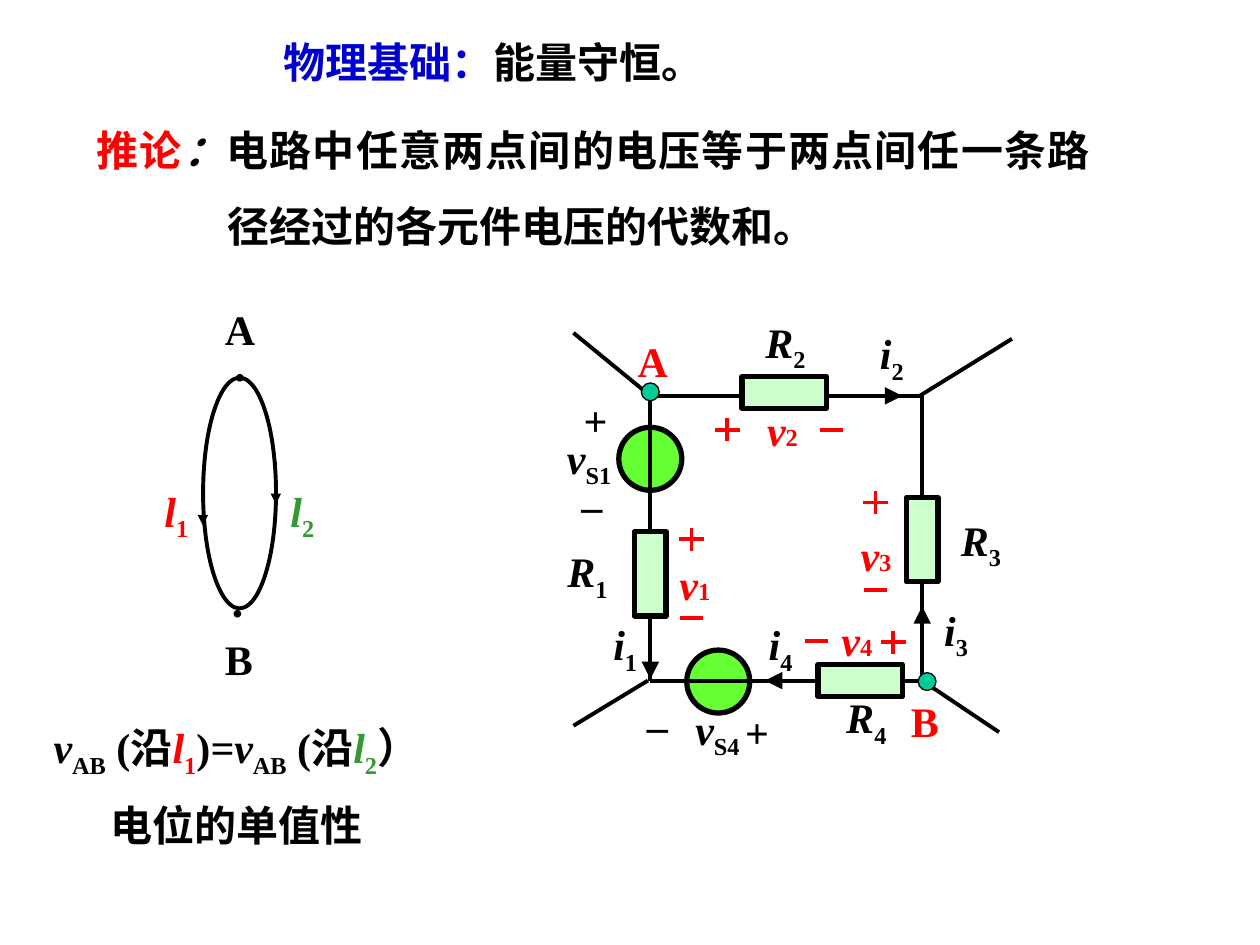
import pptx
import pptx.dml.color
import pptx.enum.shapes
import pptx.enum.text
import pptx.oxml.ns
import pptx.util
from lxml import etree

Cm, Pt = pptx.util.Cm, pptx.util.Pt
Shape = pptx.enum.shapes.MSO_SHAPE
Align = pptx.enum.text.PP_ALIGN
Middle = pptx.enum.text.MSO_ANCHOR.MIDDLE
qn = pptx.oxml.ns.qn
RGB = pptx.dml.color.RGBColor.from_string


class Theme:
    font = "Times New Roman"
    size, small, dot = 24, 14, 16
    black, white, red = "000000", "FFFFFF", "FF0000"
    blue, green = "0000D0", "339933"
    source, load, node = "66FF33", "CCFFCC", "00CC99"
    thin, wire, bold = 1, 2.25, 3


def write(par, runs, color=Theme.black):
    """Each run is (text, marks, color): i italic, s subscript, n small, d dot."""
    for text, marks, *own in runs:
        run = par.add_run()
        run.text = text
        font = run.font
        font.name, font.bold, font.italic = Theme.font, True, "i" in marks
        font.size = Pt(Theme.small if "n" in marks else Theme.dot if "d" in marks else Theme.size)
        font.color.rgb = RGB(own[0] if own else color)
        if "s" in marks:
            run._r.get_or_add_rPr().set("baseline", "-25000")


def draw(x1, y1, x2, y2, color=Theme.black, width=Theme.wire, head=None):
    kind = pptx.enum.shapes.MSO_CONNECTOR.STRAIGHT
    line = slide.shapes.add_connector(kind, Cm(x1), Cm(y1), Cm(x2), Cm(y2))
    line.line.color.rgb = RGB(color)
    line.line.width = Pt(width)
    if head:
        ln = line.line._get_or_add_ln()
        etree.SubElement(ln, qn("a:tailEnd"), type="triangle", w=head, len=head)
    etree.SubElement(line._element.spPr, qn("a:effectLst"))
    return line


deck = pptx.Presentation()
deck.slide_width, deck.slide_height = Cm(25.4), Cm(19.05)
slide = deck.slides.add_slide(deck.slide_layouts[5])

# Title
title = slide.shapes.title
title.left, title.top, title.width, title.height = Cm(1.88), Cm(0.61), Cm(16.13), Cm(1.27)
title.text_frame.auto_size = pptx.enum.text.MSO_AUTO_SIZE.NONE
title.text_frame.vertical_anchor = Middle
par = title.text_frame.paragraphs[0]
par.alignment = Align.CENTER
write(par, [("物理基础：", "", Theme.blue), ("能量守恒。", "")])

# Corollary, with hanging indent
box = slide.shapes.add_textbox(Cm(1.7), Cm(1.88), Cm(20.52), Cm(3.3)).text_frame
box.word_wrap, box.vertical_anchor = True, Middle
par = box.paragraphs[0]
par.alignment, par.line_spacing = Align.JUSTIFY, 1.5
props = par._p.get_or_add_pPr()
props.set("marL", str(Cm(2.64)))
props.set("indent", str(Cm(-2.64)))
write(par, [("推论", "", Theme.red), ("：", "i"),
            ("电路中任意两点间的电压等于两点间任一条路径经过的各元件电压的代数和。", "")])

# Path formula
box = slide.shapes.add_textbox(Cm(0), Cm(14.45), Cm(9.53), Cm(2.79)).text_frame
box.word_wrap, box.vertical_anchor = True, Middle
par = box.paragraphs[0]
write(par, [("v", "i"), ("AB", "s"), (" (沿", ""), ("l", "i", Theme.red), ("1", "s", Theme.red),
            (")", ""), ("=v", "i"), ("AB", "s"), (" (沿", ""), ("l", "i", Theme.green),
            ("2", "s", Theme.green), ("）", "")])
last = box.add_paragraph()
last.space_before = Pt(12)
write(last, [("电位的单值性", "")])
par.alignment = last.alignment = Align.CENTER

# Circuit frame
left, right, top, base = 13.11, 18.59, 7.98, 13.72
long, short, ring, knot = 1.7, 0.64, 1.27, 0.36

# Outlines by layer: kind, centre, width, height, fill, line width
back = [
    (Shape.OVAL, 4.83, 9.94, 1.47, 4.65, Theme.white, Theme.wire),
    (Shape.OVAL, 14.48, 13.74, ring, ring, Theme.source, Theme.bold),
    (Shape.OVAL, left, 9.25, ring, ring, Theme.source, Theme.bold),
]
loads = [
    (Shape.RECTANGLE, left, 11.57, short, long, Theme.load, Theme.bold),
    (Shape.RECTANGLE, 15.81, 7.91, long, short, Theme.load, Theme.bold),
    (Shape.RECTANGLE, right, 10.88, short, long, Theme.load, Theme.bold),
    (Shape.RECTANGLE, 17.34, base, long, short, Theme.load, Theme.bold),
]
nodes = [
    (Shape.OVAL, 18.69, 13.74, knot, knot, Theme.node, 0.75),
    (Shape.OVAL, left, 7.9, knot, knot, Theme.node, 0.75),
]
parts = []
for layer in (back, loads, nodes):
    # Wires run over the sources and under the resistors
    if layer is loads:
        for ends in [(left, top, right, top), (left, top, left, base),
                     (left, base, right, base), (right, top, right, base),
                     (right, base, 20.14, 14.76), (18.54, top, 20.4, 6.83),
                     (13.06, base, 11.56, 14.63), (11.56, 6.71, left, top)]:
            draw(*ends)
    for kind, x, y, w, h, fill, width in layer:
        part = slide.shapes.add_shape(kind, Cm(x - w / 2), Cm(y - h / 2), Cm(w), Cm(h))
        part.shadow.inherit = False
        part.fill.solid()
        part.fill.fore_color.rgb = RGB(fill)
        part.line.color.rgb = RGB(Theme.black)
        part.line.width = Pt(width)
        parts.append(part)

# Current arrows; i1 and i4 start at a resistor
first, fourth = parts[3], parts[6]
for ends, load, site in [((left, 12.42, left, 13.69), first, 2),
                         ((16.49, base, 15.42, base), fourth, 1),
                         ((17.32, top, 18.19, top), None, 0),
                         ((right, 13.41, right, 12.22), None, 0)]:
    arrow = draw(*ends, width=Theme.thin, head="lg")
    if load:
        arrow.begin_connect(load, site)

# Direction arrows on the loop
draw(4.09, 10.16, 4.09, 10.59, width=Theme.thin, head="med")
draw(5.56, 9.32, 5.56, 10.16, width=Theme.thin, head="med")

# Polarity signs of the resistor voltages
for x, y in [(14.66, 8.66), (13.94, 10.87), (18.01, 12.95), (17.65, 10.13)]:
    draw(x - 0.25, y, x + 0.25, y, Theme.red)
    draw(x, y - 0.23, x, y + 0.23, Theme.red)
for x, y in [(16.76, 8.66), (17.65, 11.89), (13.94, 12.45), (16.46, 12.93)]:
    draw(x - 0.23, y, x + 0.23, y, Theme.red)

# Labels: left, top, width, letter, its marks, index, index marks, color
labels = [
    (4.52, 5.99, 0.64, "A", "", "", "", Theme.black),
    (4.47, 12.65, 0.69, "B", "", "", "", Theme.black),
    (4.52, 6.95, 0.64, "•", "d", "", "", Theme.black),
    (4.47, 11.7, 0.64, "•", "d", "", "", Theme.black),
    (3.02, 9.73, 1.07, "l", "i", "1", "s", Theme.red),
    (5.36, 9.73, 1.47, "l", "i", "2", "s", Theme.green),
    (11.79, 12.42, 1.63, "i", "i", "1", "s", Theme.black),
    (17.32, 6.55, 1.32, "i", "i", "2", "s", Theme.black),
    (18.49, 12.12, 1.57, "i", "i", "3", "s", Theme.black),
    (14.78, 12.42, 1.91, "i", "i", "4", "s", Theme.black),
    (10.97, 10.95, 1.75, "R", "i", "1", "s", Theme.black),
    (14.96, 6.32, 1.75, "R", "i", "2", "s", Theme.black),
    (18.82, 10.31, 1.91, "R", "i", "3", "s", Theme.black),
    (16.64, 13.89, 1.65, "R", "i", "4", "s", Theme.black),
    (10.92, 8.66, 1.91, "v", "i", "S1", "s", Theme.black),
    (13.51, 14.12, 1.91, "v", "i", "S4", "s", Theme.black),
    (11.56, 7.82, 0.89, "+", "", "", "", Theme.black),
    (11.56, 9.25, 0.74, "_", "", "", "", Theme.black),
    (14.58, 14.12, 1.37, "+", "", "", "", Theme.black),
    (12.88, 13.69, 0.74, "_", "", "", "", Theme.black),
    (13.44, 11.13, 1.14, "v", "i", "1", "n", Theme.red),
    (15.09, 8.03, 1.37, "v", "i", "2", "n", Theme.red),
    (17.09, 10.54, 1.14, "v", "i", "3", "n", Theme.red),
    (16.59, 12.27, 1.37, "v", "i", "4", "n", Theme.red),
    (12.6, 6.63, 1.12, "A", "", "", "", Theme.red),
    (18.11, 13.89, 1.07, "B", "", "", "", Theme.red),
]
for x, y, w, sign, marks, index, low, color in labels:
    box = slide.shapes.add_textbox(Cm(x), Cm(y), Cm(w), Cm(1.27)).text_frame
    box.word_wrap, box.vertical_anchor = True, Middle
    box.margin_left = box.margin_right = box.margin_top = box.margin_bottom = 0
    box.paragraphs[0].alignment = Align.CENTER
    write(box.paragraphs[0], [(sign, marks)] + ([(index, low)] if index else []), color)

deck.save("out.pptx")
